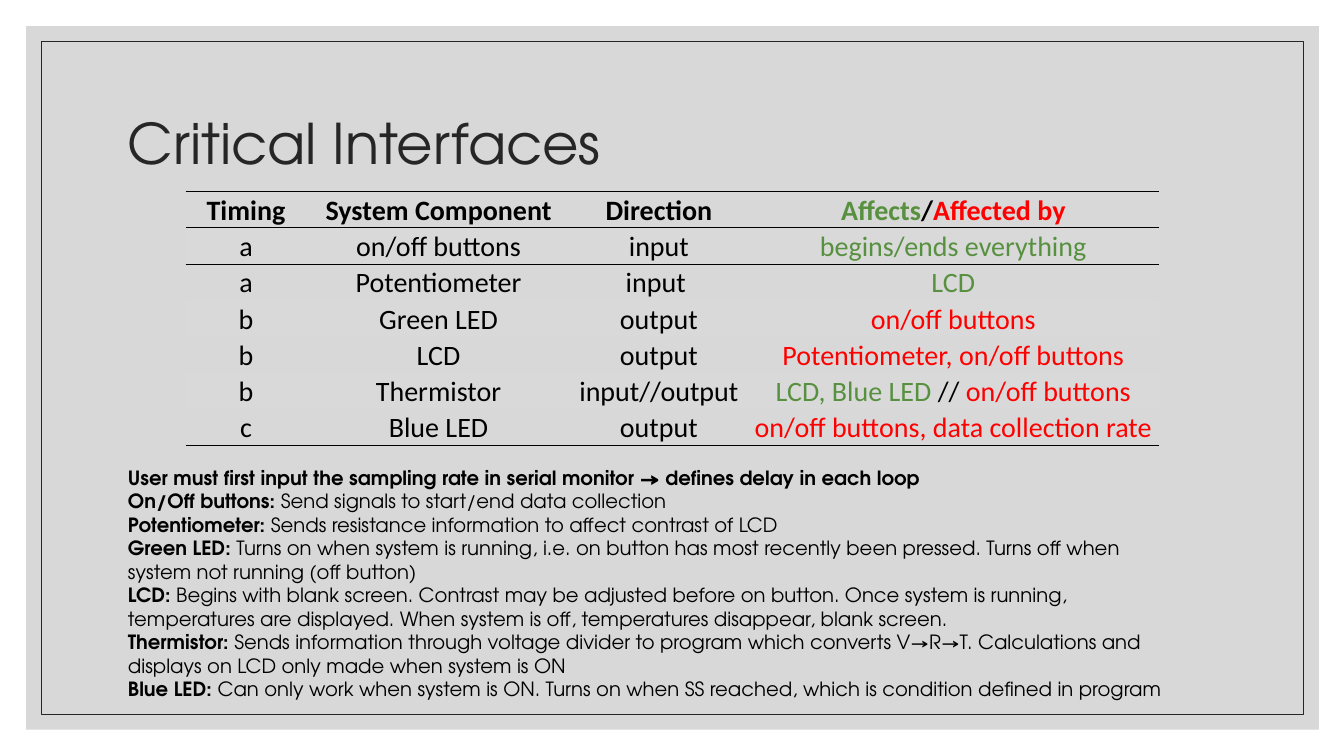
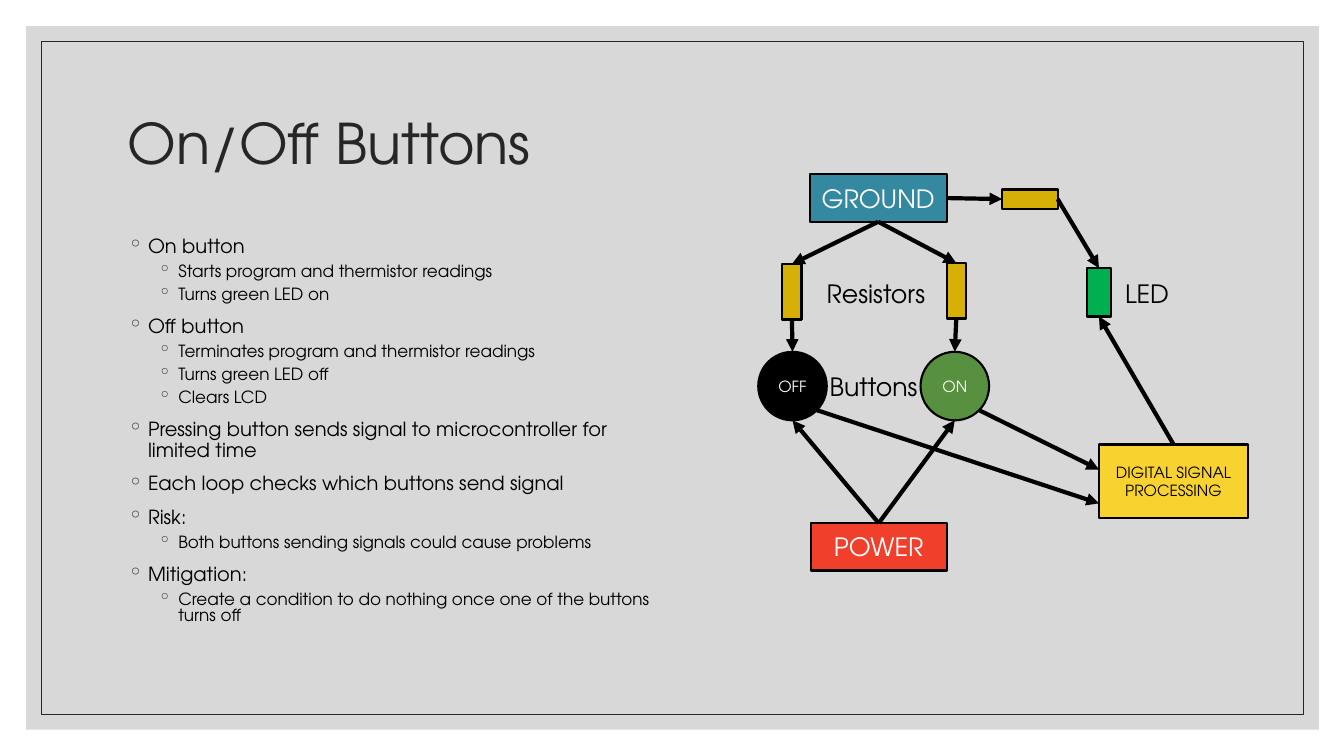
from lxml import etree
from pptx import Presentation
from pptx.dml.color import RGBColor
from pptx.enum.shapes import MSO_CONNECTOR as Connector, MSO_SHAPE as Shape
from pptx.enum.text import MSO_ANCHOR as Anchor, PP_ALIGN as Align
from pptx.oxml.ns import qn
from pptx.util import Inches, Pt

COLORS = {
    "panel": "BFBFBF", "dark": "262626", "black": "000000", "white": "FFFFFF",
    "band": "D9D9D9", "green": "57903F", "red": "FF0000", "power": "F03F2B",
    "ground": "3488A0", "resistor": "D6AF07", "led": "00B050", "signal": "F8D22F",
}
FONT, TABLE_FONT = "TeX Gyre Adventor", "Calibri"
NO_GRID_STYLE = "{2D5ABB26-0587-4C30-8999-92F81FD0307C}"

# Content: a cell is plain text or a list of (text, color) spans
COLUMN_WIDTHS = [1.2, 2.62, 1.75, 4.09]
ROW_HEIGHT = 0.36
INTERFACES = [
    ("Timing", "System Component", "Direction",
     [("Affects", "green"), ("/", "black"), ("Affected by", "red")]),
    ("a", "on/off buttons", "input", [("begins/ends everything", "green")]),
    ("a", "Potentiometer", "input ", [("LCD", "green")]),
    ("b", "Green LED", "output", [("on/off buttons", "red")]),
    ("b", "LCD", "output", [("Potentiometer, on/off buttons", "red")]),
    ("b", "Thermistor", "input//output",
     [("LCD, Blue LED ", "green"), ("// ", "black"), ("on/off buttons", "red")]),
    ("c", "Blue LED", "output", [("on/off buttons, data collection rate", "red")]),
]
NOTES = [
    ("User must first input the sampling rate in serial monitor → "
     "defines delay in each loop", ""),
    ("On/Off buttons: ", "Send signals to start/end data collection"),
    ("Potentiometer: ", "Sends resistance information to affect contrast of LCD"),
    ("Green LED: ", "Turns on when system is running, i.e. on button has most recently "
     "been pressed. Turns off when system not running (off button)"),
    ("LCD: ", "Begins with blank screen. Contrast may be adjusted before on button. "
     "Once system is running, temperatures are displayed. When system is off, "
     "temperatures disappear, blank screen."),
    ("Thermistor: ", "Sends information through voltage divider to program which "
     "converts V→R→T. Calculations and displays on LCD only made when system is ON"),
    ("Blue LED: ", "Can only work when system is ON. Turns on when SS reached, "
     "which is condition defined in program"),
]
OUTLINE = [
    ("On button", ["Starts program and thermistor readings", "Turns green LED on"]),
    ("Off button", ["Terminates program and thermistor readings",
                    "Turns green LED off", "Clears LCD"]),
    ("Pressing button sends signal to microcontroller for limited time", []),
    ("Each loop checks which buttons send signal", []),
    ("Risk:", ["Both buttons sending signals could cause problems"]),
    ("Mitigation:", ["Create a condition to do nothing once one of the buttons turns off"]),
]
# Bullet levels: indent, size, line spacing, space before
LEVELS = [(0.2, 13.9, 0.9, 9), (0.5, 12, 0.8, 5)]

# Circuit nodes: shape, area, fill, text, text size, text color
NODES = {
    "power": (Shape.RECTANGLE, (8.04, 5.19, 1.35, 0.47), "power", "POWER", 18, "white"),
    "ground": (Shape.RECTANGLE, (8.03, 1.73, 1.36, 0.47), "ground", "GROUND", 18, "white"),
    "on": (Shape.OVAL, (9.13, 3.49, 0.68, 0.68), "green", "ON", 11, "white"),
    "off": (Shape.OVAL, (7.52, 3.49, 0.68, 0.68), "black", "OFF", 11, "white"),
    "on resistor": (Shape.RECTANGLE, (9.39, 2.61, 0.19, 0.55), "resistor", "", 11, "black"),
    "off resistor": (Shape.RECTANGLE, (7.76, 2.62, 0.19, 0.55), "resistor", "", 11, "black"),
    "led resistor": (Shape.RECTANGLE, (9.94, 1.88, 0.55, 0.19), "resistor", "", 11, "black"),
    "led": (Shape.RECTANGLE, (10.78, 2.66, 0.24, 0.48), "led", "", 11, "black"),
    "signal": (Shape.RECTANGLE, (10.9, 4.41, 1.48, 0.73), "signal",
               "DIGITAL SIGNAL PROCESSING", 11, "black"),
}
LABELS = [("Resistors", (8.1, 2.71, 1.39, 0.4)), ("Buttons", (8.13, 3.63, 1.39, 0.4)),
          ("LED", (11.06, 2.71, 0.72, 0.4))]
# Points on a node as fractions of its width and height
TOP, BOTTOM, LEFT, RIGHT = (0.5, 0), (0.5, 1), (0, 0.5), (1, 0.5)
LOWER_RIGHT, UPPER_INPUT, LOWER_INPUT = (0.85, 0.85), (0, 0.34), (0, 0.8)
ARROWS = [
    ("power", TOP, "off", BOTTOM),
    ("power", TOP, "on", BOTTOM),
    ("ground", BOTTOM, "off resistor", TOP),
    ("ground", BOTTOM, "on resistor", TOP),
    ("off resistor", BOTTOM, "off", TOP),
    ("on resistor", BOTTOM, "on", TOP),
    ("ground", RIGHT, "led resistor", LEFT),
    ("led resistor", RIGHT, "led", TOP),
    ("off", LOWER_RIGHT, "signal", LOWER_INPUT),
    ("on", LOWER_RIGHT, "signal", UPPER_INPUT),
    ("signal", TOP, "led", BOTTOM),
]


def rgb(name):
    return RGBColor.from_string(COLORS[name])


def add_xml(parent, tag, **attributes):
    return etree.SubElement(parent, qn(tag), attributes)


def write(para, text, size=14, font=FONT, color="black", bold=False,
          align=None, spacing=None, before=None):
    """Fill a paragraph with one string or a list of (text, color) spans."""
    para.alignment, para.line_spacing = align, spacing
    if before is not None:
        para.space_before = Pt(before)
    for words, span_color in [(text, color)] if isinstance(text, str) else text:
        span = para.add_run()
        span.text = words
        span.font.size, span.font.name, span.font.bold = Pt(size), font, bold
        span.font.color.rgb = rgb(span_color)


def add_box(page, area, anchor=Anchor.TOP):
    frame = page.shapes.add_textbox(*map(Inches, area)).text_frame
    frame.word_wrap = True
    frame.vertical_anchor = anchor
    return frame


def next_para(frame, index):
    return frame.add_paragraph() if index else frame.paragraphs[0]


def add_figure(page, kind, area, fill=None, line=None, width=1.5):
    shape = page.shapes.add_shape(kind, *map(Inches, area))
    shape.shadow.inherit = False
    if fill:
        shape.fill.solid()
        shape.fill.fore_color.rgb = rgb(fill)
    else:
        shape.fill.background()
    if line:
        shape.line.color.rgb = rgb(line)
        shape.line.width = Pt(width)
    else:
        shape.line.fill.background()
    return shape


def add_page(deck, title):
    """Blank page with the shared gray panel, thin frame and title."""
    page = deck.slides.add_slide(deck.slide_layouts[6])
    panel = add_figure(page, Shape.RECTANGLE, (0.26, 0.26, 12.82, 6.98), "panel")
    tint = panel.fill._xPr.find(qn("a:solidFill"))[0]
    add_xml(tint, "a:alpha", val="60000")
    add_figure(page, Shape.RECTANGLE, (0.41, 0.41, 12.52, 6.68), line="dark", width=0.5)
    frame = add_box(page, (1.17, 0.7, 11, 1.5), Anchor.MIDDLE)
    write(frame.paragraphs[0], title, size=40, color="dark", spacing=0.9)
    return page


def add_rule(cell, side):
    line = add_xml(cell._tc.get_or_add_tcPr(), side, w=str(Pt(0.5)))
    add_xml(add_xml(line, "a:solidFill"), "a:srgbClr", val=COLORS["black"])


def add_interfaces(page):
    height = ROW_HEIGHT * len(INTERFACES)
    area = map(Inches, (1.84, 1.9, sum(COLUMN_WIDTHS), height))
    table = page.shapes.add_table(len(INTERFACES), len(COLUMN_WIDTHS), *area).table
    table.first_row = table.horz_banding = False
    table._tbl.tblPr.find(qn("a:tableStyleId")).text = NO_GRID_STYLE
    for column, width in zip(table.columns, COLUMN_WIDTHS):
        column.width = Inches(width)
    last = len(INTERFACES) - 1
    for r, row in enumerate(INTERFACES):
        table.rows[r].height = Inches(ROW_HEIGHT)
        for c, text in enumerate(row):
            cell = table.cell(r, c)
            cell.margin_left = cell.margin_right = cell.margin_top = Inches(0.01)
            cell.margin_bottom = 0
            cell.vertical_anchor = Anchor.BOTTOM
            if r in (0, 1):
                add_rule(cell, "a:lnT")
            if r in (0, last):
                add_rule(cell, "a:lnB")
            if r % 2:
                cell.fill.solid()
                cell.fill.fore_color.rgb = rgb("band")
            else:
                cell.fill.background()
            write(cell.text_frame.paragraphs[0], text, size=20, font=TABLE_FONT,
                  bold=r == 0, align=Align.CENTER)


def add_notes_text(page):
    frame = add_box(page, (1.17, 4.57, 10.51, 2.46))
    for index, (term, meaning) in enumerate(NOTES):
        para = next_para(frame, index)
        write(para, term, bold=True)
        if meaning:
            write(para, meaning)


def add_outline(page):
    frame = add_box(page, (1.17, 2.3, 5.5, 4.21))
    lines = [(level, text) for head, details in OUTLINE
             for level, text in [(0, head)] + [(1, detail) for detail in details]]
    for index, (level, text) in enumerate(lines):
        indent, size, spacing, before = LEVELS[level]
        para = next_para(frame, index)
        para.level = level
        props = para._p.get_or_add_pPr()
        props.set("marL", str(Inches(indent)))
        props.set("indent", str(Inches(-0.2)))
        add_xml(add_xml(props, "a:buClr"), "a:srgbClr", val=COLORS["dark"])
        add_xml(props, "a:buChar", char="◦")
        write(para, text, size=size, spacing=spacing, before=before if index else 0)


def point_on(node, place):
    left, top, width, height = NODES[node][1]
    return Inches(left + place[0] * width), Inches(top + place[1] * height)


def add_arrow(page, start, end):
    arrow = page.shapes.add_connector(Connector.STRAIGHT, *start, *end)
    arrow.line.color.rgb = rgb("black")
    arrow.line.width = Pt(3)
    add_xml(arrow.line._get_or_add_ln(), "a:tailEnd", type="triangle")
    add_xml(arrow._element.spPr, "a:effectLst")


def add_circuit(page):
    for kind, area, fill, text, size, color in NODES.values():
        frame = add_figure(page, kind, area, fill, "black").text_frame
        frame.margin_left = frame.margin_right = Inches(0.05)
        frame.vertical_anchor = Anchor.MIDDLE
        if text:
            write(frame.paragraphs[0], text, size=size, color=color, align=Align.CENTER)
    for source, source_place, target, target_place in ARROWS:
        add_arrow(page, point_on(source, source_place), point_on(target, target_place))
    for text, area in LABELS:
        write(add_box(page, area).paragraphs[0], text, size=18)


def main():
    deck = Presentation()
    deck.slide_width, deck.slide_height = Inches(13.33), Inches(7.5)

    page = add_page(deck, "Critical Interfaces")
    add_interfaces(page)
    add_notes_text(page)

    page = add_page(deck, "On/Off Buttons")
    add_outline(page)
    add_circuit(page)

    deck.save("out.pptx")


if __name__ == "__main__":
    main()
